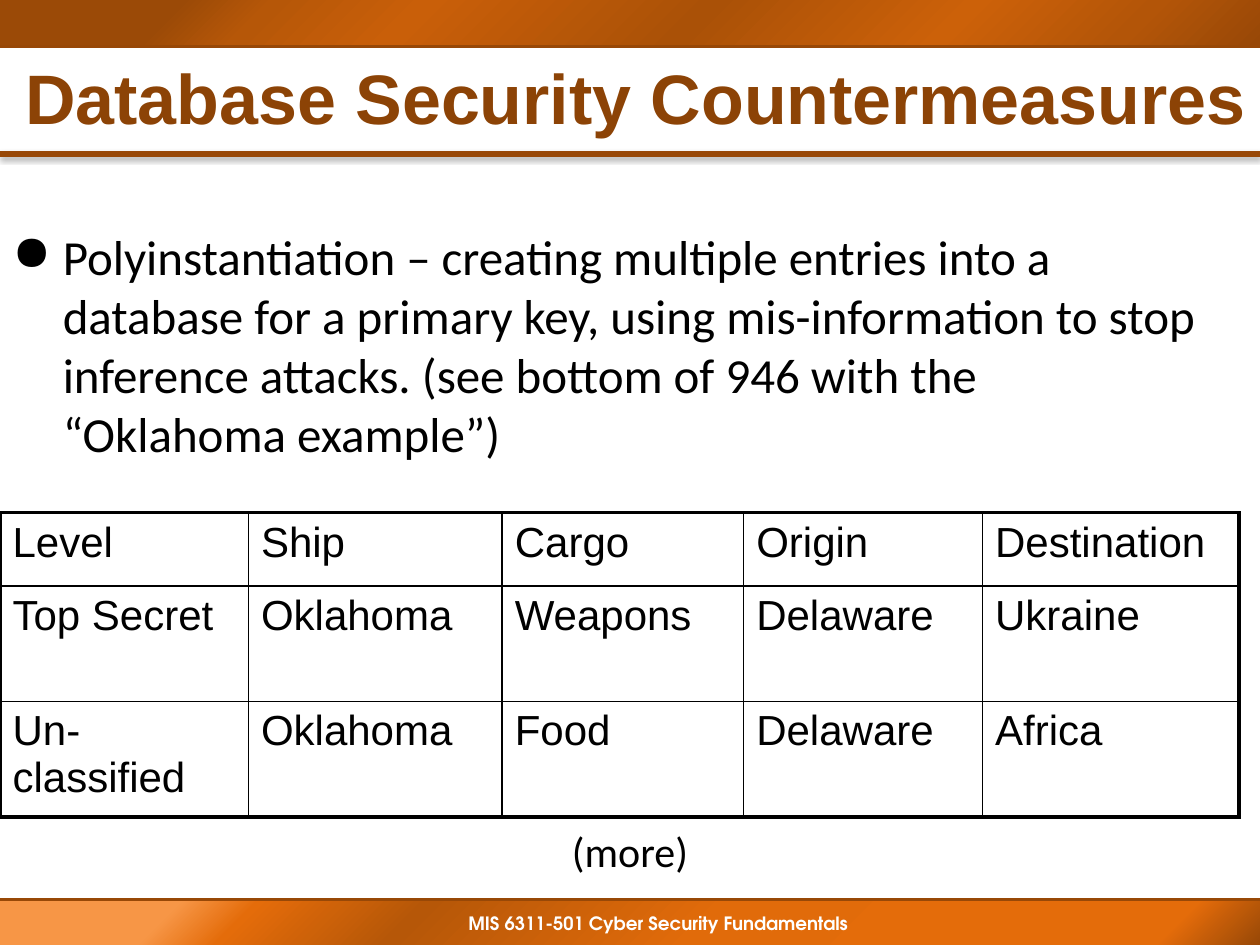
from dataclasses import dataclass

import lxml.etree
import pptx
import pptx.dml.color
import pptx.enum.shapes
import pptx.enum.text
import pptx.oxml.ns
import pptx.util

Pt = pptx.util.Pt
RGB = pptx.dml.color.RGBColor.from_string
qn = pptx.oxml.ns.qn
ALIGN = pptx.enum.text.PP_ALIGN
ANCHOR = pptx.enum.text.MSO_ANCHOR


@dataclass(frozen=True)
class Theme:
    ink: str = "000000"
    paper: str = "FFFFFF"
    rule: str = "984807"
    heading: str = "8C4306"
    header_stops: tuple = ((14, "9B4A07"), (21, "B65708"), (33, "C95F09"), (55, "AA5107"),
                           (75, "CC6109"), (89, "B35508"), (100, "984807"))
    footer_stops: tuple = ((14, "F79646"), (20, "E46C0A"), (33, "B65708"), (56, "E16B0A"),
                           (78, "E46C0A"), (92, "E46C0A"), (100, "984807"))
    title_size: float = 40
    body_size: float = 28
    table_size: float = 24
    footer_size: float = 10.5
    sans: str = "Arial"
    body_font: str = "Calibri"
    footer_font: str = "TeX Gyre Adventor"
    outer_border: float = 2.25
    inner_border: float = 1


def apply(target, values):
    for key, value in values.items():
        setattr(target, key, value)


def element(parent, tag, **attributes):
    """Append a DrawingML child and return it."""
    child = lxml.etree.SubElement(parent, qn(tag))
    for key, value in attributes.items():
        child.set(key, str(value))
    return child


def color_element(parent, color):
    return element(parent, "a:srgbClr", val=color)


class SlideBuilder:
    def __init__(self, slide, theme):
        self.slide = slide
        self.theme = theme

    def paragraph(self, frame, text, size, font, color=None, bold=False, bullet=None,
                  indent=(0, 0), **paragraph_format):
        paragraph = frame.paragraphs[0]
        paragraph.text = text
        properties = paragraph._p.get_or_add_pPr()
        if any(indent):
            properties.set("marL", str(Pt(indent[0])))
            properties.set("indent", str(Pt(indent[1])))
        if bullet:
            element(properties, "a:buChar", char=bullet)
        apply(paragraph, paragraph_format)
        apply(paragraph.font, {"size": Pt(size), "name": font, "bold": bold})
        paragraph.font.color.rgb = RGB(color or self.theme.ink)

    def text(self, box, text, size, font, frame_format=None, **style):
        frame = self.slide.shapes.add_textbox(*map(Pt, box)).text_frame
        apply(frame, {"word_wrap": True, **(frame_format or {})})
        self.paragraph(frame, text, size, font, **style)

    def band(self, box, stops):
        shape = self.slide.shapes.add_shape(
            pptx.enum.shapes.MSO_SHAPE.RECTANGLE, *map(Pt, box))
        shape.shadow.inherit = False
        shape.line.fill.background()
        shape.fill.gradient()
        shape.fill.gradient_angle = 315
        stop_list = shape._element.spPr.find(".//" + qn("a:gsLst"))
        for old_stop in list(stop_list):
            stop_list.remove(old_stop)
        for percent, color in stops:
            color_element(element(stop_list, "a:gs", pos=percent * 1000), color)

    def rule(self, y, width, shadow=False):
        line = self.slide.shapes.add_connector(
            pptx.enum.shapes.MSO_CONNECTOR.STRAIGHT, 0, Pt(y), Pt(720), Pt(y))
        line.line.width = Pt(width)
        line.line.color.rgb = RGB(self.theme.rule)
        effects = element(line._element.spPr, "a:effectLst")
        if shadow:
            outer = element(effects, "a:outerShdw", blurRad=Pt(3.1), dist=Pt(1.6),
                            dir=5400000, rotWithShape=0)
            element(color_element(outer, self.theme.ink), "a:alpha", val=38000)

    def border(self, cell, edges):
        """Draw heavy lines on the edges marked True and thin ones elsewhere."""
        properties = cell._tc.get_or_add_tcPr()
        for index, (side, heavy) in enumerate(edges.items()):
            width = self.theme.outer_border if heavy else self.theme.inner_border
            line = element(properties, "a:ln" + side, w=Pt(width))
            color_element(element(line, "a:solidFill"), self.theme.ink)
            properties.insert(index, line)

    def table(self, left, top, widths, heights, records):
        table = self.slide.shapes.add_table(
            len(heights), len(widths), Pt(left), Pt(top),
            Pt(sum(widths)), Pt(sum(heights))).table
        apply(table, {"first_row": False, "horz_banding": False})
        for column, width in zip(table.columns, widths):
            column.width = Pt(width)
        for row, height in zip(table.rows, heights):
            row.height = Pt(height)
        last_row, last_column = len(heights) - 1, len(widths) - 1
        for r, record in enumerate(records):
            for c, value in enumerate(record):
                cell = table.cell(r, c)
                cell.fill.background()
                self.border(cell, {"L": c == 0, "R": c == last_column,
                                   "T": r == 0, "B": r == last_row})
                self.paragraph(cell.text_frame, value, self.theme.table_size,
                               self.theme.sans)


def main():
    presentation = pptx.Presentation()
    apply(presentation, {"slide_width": Pt(720), "slide_height": Pt(540)})
    theme = Theme()
    page = SlideBuilder(presentation.slides.add_slide(presentation.slide_layouts[6]), theme)

    page.band((0, 514, 720, 26), theme.footer_stops)
    page.rule(88, 3, shadow=True)
    page.text((102, 517.5, 534, 21), "MIS 6311-501 Cyber Security Fundamentals",
              theme.footer_size, theme.footer_font, color=theme.paper, bold=True,
              indent=(14.4, 0), alignment=ALIGN.CENTER)
    page.band((0, 0, 720, 26), theme.header_stops)
    for y in (514, 26.5):
        page.rule(y, 1.5)

    page.text((0, 31, 720, 54), "Database Security Countermeasures",
              theme.title_size, theme.sans,
              {"vertical_anchor": ANCHOR.MIDDLE, "margin_left": Pt(14.4)},
              color=theme.heading, bold=True, line_spacing=0.9)
    page.table(0, 293, (142, 145, 138, 136.5, 146.5), (42, 66, 66), (
        ("Level", "Ship", "Cargo", "Origin", "Destination"),
        ("Top Secret", "Oklahoma", "Weapons", "Delaware", "Ukraine"),
        ("Un-classified", "Oklahoma", "Food", "Delaware", "Africa"),
    ))
    page.text((0, 126, 690, 156),
              "Polyinstantiation – creating multiple entries into a database for a "
              "primary key, using mis-information to stop inference attacks. "
              "(see bottom of 946 with the “Oklahoma example”)",
              theme.body_size, theme.body_font, bullet="●", indent=(28.8, -28.8))
    page.text((12, 468, 696, 36), "(more)", theme.table_size, theme.body_font,
              alignment=ALIGN.CENTER)

    presentation.save("out.pptx")


if __name__ == "__main__":
    main()
